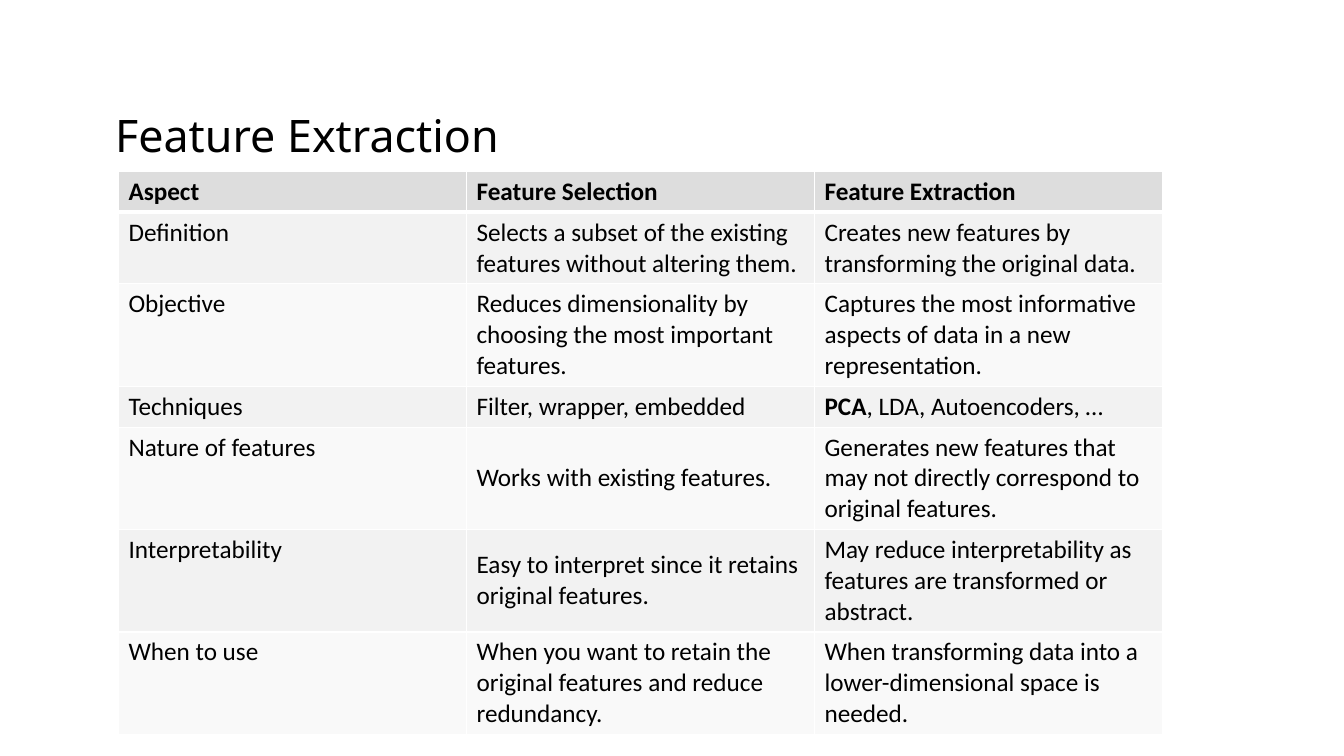
from lxml import etree
from pptx import Presentation
from pptx import util as u
from pptx.dml.color import RGBColor
from pptx.enum import text
from pptx.oxml.ns import qn

BLACK = RGBColor(0x00, 0x00, 0x00)
WHITE = RGBColor(0xFF, 0xFF, 0xFF)
HEADER = RGBColor(0xDD, 0xDD, 0xDD)
BANDS = [RGBColor(0xF2, 0xF2, 0xF2), RGBColor(0xF9, 0xF9, 0xF9)]

ROWS = [
    ["Aspect", "Feature Selection", "Feature Extraction"],
    ["Definition",
     "Selects a subset of the existing features without altering them.",
     "Creates new features by transforming the original data."],
    ["Objective",
     "Reduces dimensionality by choosing the most important features.",
     "Captures the most informative aspects of data in a new representation."],
    ["Techniques", "Filter, wrapper, embedded",
     ["PCA", ", LDA, Autoencoders, …"]],
    ["Nature of features", "Works with existing features.",
     "Generates new features that may not directly correspond to original features."],
    ["Interpretability",
     "Easy to interpret since it retains original features.",
     "May reduce interpretability as features are transformed or abstract."],
    ["When to use",
     "When you want to retain the original features and reduce redundancy.",
     "When transforming data into a lower-dimensional space is needed."],
]


def add_run(p, words, font, size, bold=False):
    r = p.add_run()
    r.text = words
    r.font.name = font
    r.font.size = u.Pt(size)
    r.font.bold = bold
    r.font.color.rgb = BLACK


def set_borders(cell, widths):
    """Draw white cell borders; widths maps L, R, T and B to points."""
    tc_pr = cell._tc.get_or_add_tcPr()
    for i, (side, width) in enumerate(widths.items()):
        ln = etree.Element(qn(f"a:ln{side}"), w=str(u.Pt(width)))
        fill = etree.SubElement(ln, qn("a:solidFill"))
        etree.SubElement(fill, qn("a:srgbClr"), val=str(WHITE))
        tc_pr.insert(i, ln)


prs = Presentation()
prs.slide_width, prs.slide_height = u.Pt(960), u.Pt(540)
s = prs.slides.add_slide(prs.slide_layouts[5])

title = s.shapes.title
title.left, title.top = u.Pt(75), u.Pt(65.5)
title.width, title.height = u.Pt(746), u.Pt(56)
tf = title.text_frame
tf.word_wrap = True
tf.auto_size = text.MSO_AUTO_SIZE.NONE
tf.vertical_anchor = text.MSO_ANCHOR.MIDDLE
tf.margin_left = tf.margin_right = u.Pt(7.2)
tf.margin_top, tf.margin_bottom = u.Pt(8.6), u.Pt(3.6)
p = tf.paragraphs[0]
p.alignment = text.PP_ALIGN.LEFT
p.line_spacing = u.Pt(38.4)
add_run(p, "Feature Extraction", "Noto Sans", 32)

row_height = 29.2
table = s.shapes.add_table(len(ROWS), 3, u.Pt(84.6), u.Pt(122.4), u.Pt(745.8),
                           u.Pt(row_height * len(ROWS))).table
table.horz_banding = False
for col in table.columns:
    col.width = u.Pt(248.6)

for i, row in enumerate(ROWS):
    table.rows[i].height = u.Pt(row_height)
    for j, words in enumerate(row):
        cell = table.cell(i, j)
        cell.fill.solid()
        cell.fill.fore_color.rgb = BANDS[(i - 1) % 2] if i else HEADER
        if i and j:
            cell.vertical_anchor = text.MSO_ANCHOR.MIDDLE
        set_borders(cell, {"L": 1, "R": 1, "T": 3 if i == 1 else 1,
                           "B": 1 if i else 3})
        p = cell.text_frame.paragraphs[0]
        parts = words if isinstance(words, list) else [words]
        for k, part in enumerate(parts):
            add_run(p, part, "Calibri", 18,
                    bold=i == 0 or (len(parts) > 1 and k == 0))

prs.save("out.pptx")
